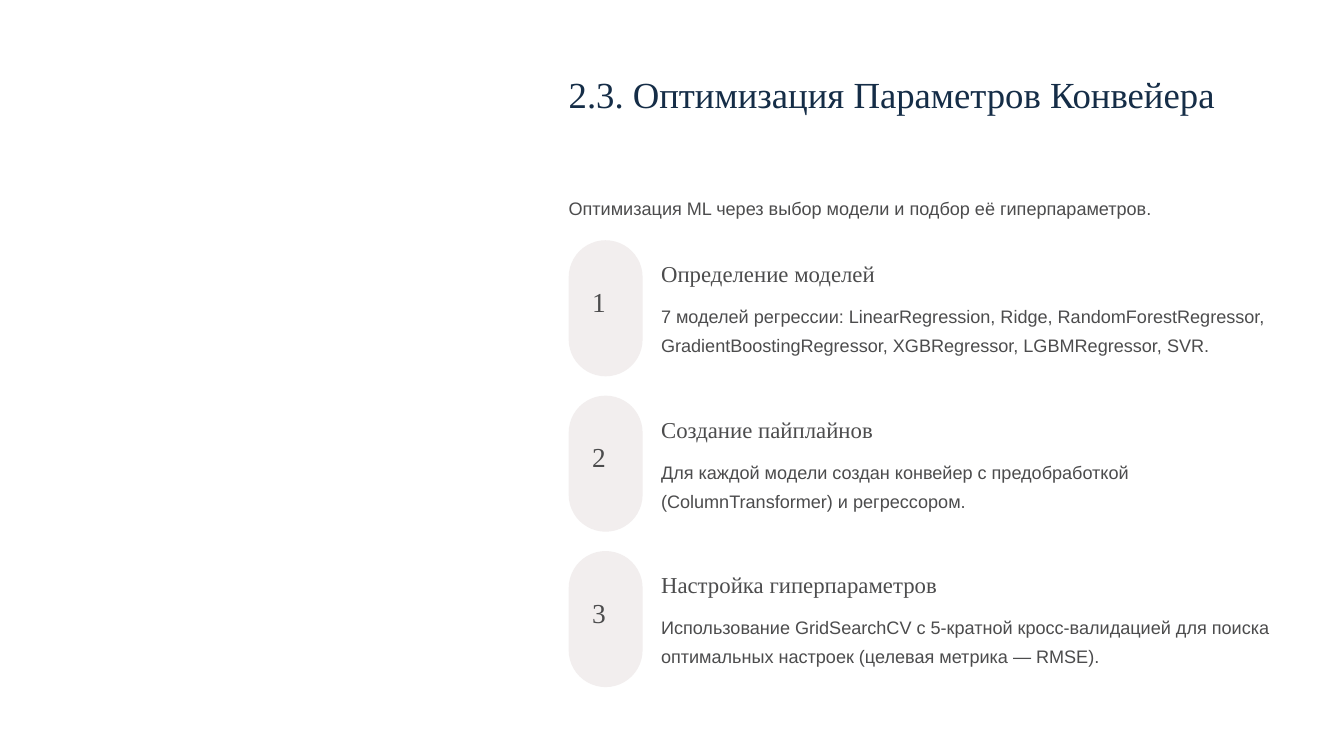
from pptx import Presentation
from pptx.dml.color import RGBColor
from pptx.enum.shapes import MSO_SHAPE as Shape
from pptx.enum.text import MSO_ANCHOR as Anchor, MSO_AUTO_SIZE as AutoSize, PP_ALIGN as Align
from pptx.util import Inches, Pt

COLORS = {"background": "FFFFFF", "title": "152D47", "text": "4C4C4D", "pill": "F2EEEE"}
SERIF, SANS = "Times New Roman", "Arial"
LEFT, TEXT_LEFT = 6.77, 7.87
STEP_TOP, STEP_PITCH = 2.86, 1.85
STEPS = [
    ("Определение моделей",
     "7 моделей регрессии: LinearRegression, Ridge, RandomForestRegressor, "
     "GradientBoostingRegressor, XGBRegressor, LGBMRegressor, SVR."),
    ("Создание пайплайнов",
     "Для каждой модели создан конвейер с предобработкой (ColumnTransformer) и регрессором."),
    ("Настройка гиперпараметров",
     "Использование GridSearchCV с 5-кратной кросс-валидацией для поиска "
     "оптимальных настроек (целевая метрика — RMSE)."),
]


def rgb(name):
    return RGBColor.from_string(COLORS[name])


def write_text(shape, text, font, size, spacing, color="text"):
    frame = shape.text_frame
    frame.margin_left = frame.margin_right = frame.margin_top = frame.margin_bottom = 0
    frame.auto_size = AutoSize.NONE
    frame.word_wrap = True
    frame.vertical_anchor = Anchor.TOP
    paragraph = frame.paragraphs[0]
    paragraph.alignment = Align.LEFT
    paragraph.line_spacing = Pt(spacing)
    run = paragraph.add_run()
    run.text = text
    run.font.name = font
    run.font.size = Pt(size)
    run.font.color.rgb = rgb(color)


def add_title(slide, text):
    title = slide.shapes.title
    title.left, title.top = Inches(LEFT), Inches(0.83)
    title.width, title.height = Inches(8.46), Inches(1.1)
    write_text(title, text, SERIF, 31.5, 39.5, "title")


def add_text(slide, box, text, font, size, spacing):
    shape = slide.shapes.add_textbox(*map(Inches, box))
    write_text(shape, text, font, size, spacing)


def add_pill(slide, top):
    pill = slide.shapes.add_shape(
        Shape.ROUNDED_RECTANGLE, Inches(LEFT), Inches(top), Inches(0.88), Inches(1.62))
    pill.adjustments[0] = 0.5
    pill.shadow.inherit = False
    pill.fill.solid()
    pill.fill.fore_color.rgb = rgb("pill")
    pill.line.fill.background()


def add_step(slide, number, heading, description):
    top = STEP_TOP + (number - 1) * STEP_PITCH
    add_pill(slide, top)
    add_text(slide, (7.05, top + 0.6, 0.33, 0.41), str(number), SERIF, 23.5, 23.5)
    add_text(slide, (TEXT_LEFT, top + 0.22, 3.88, 0.34), heading, SERIF, 19.5, 24.5)
    add_text(slide, (TEXT_LEFT, top + 0.69, 7.36, 0.7), description, SANS, 15.5, 25)


def main():
    """Build the slide on tuning the pipeline parameters."""
    presentation = Presentation()
    presentation.slide_width, presentation.slide_height = Inches(16), Inches(9)
    slide = presentation.slides.add_slide(presentation.slide_layouts[5])
    slide.background.fill.solid()
    slide.background.fill.fore_color.rgb = rgb("background")
    add_title(slide, "2.3. Оптимизация Параметров Конвейера")
    add_text(slide, (LEFT, 2.26, 8.46, 0.35),
             "Оптимизация ML через выбор модели и подбор её гиперпараметров.", SANS, 15.5, 25)
    for number, (heading, description) in enumerate(STEPS, start=1):
        add_step(slide, number, heading, description)
    presentation.save("out.pptx")


if __name__ == "__main__":
    main()
